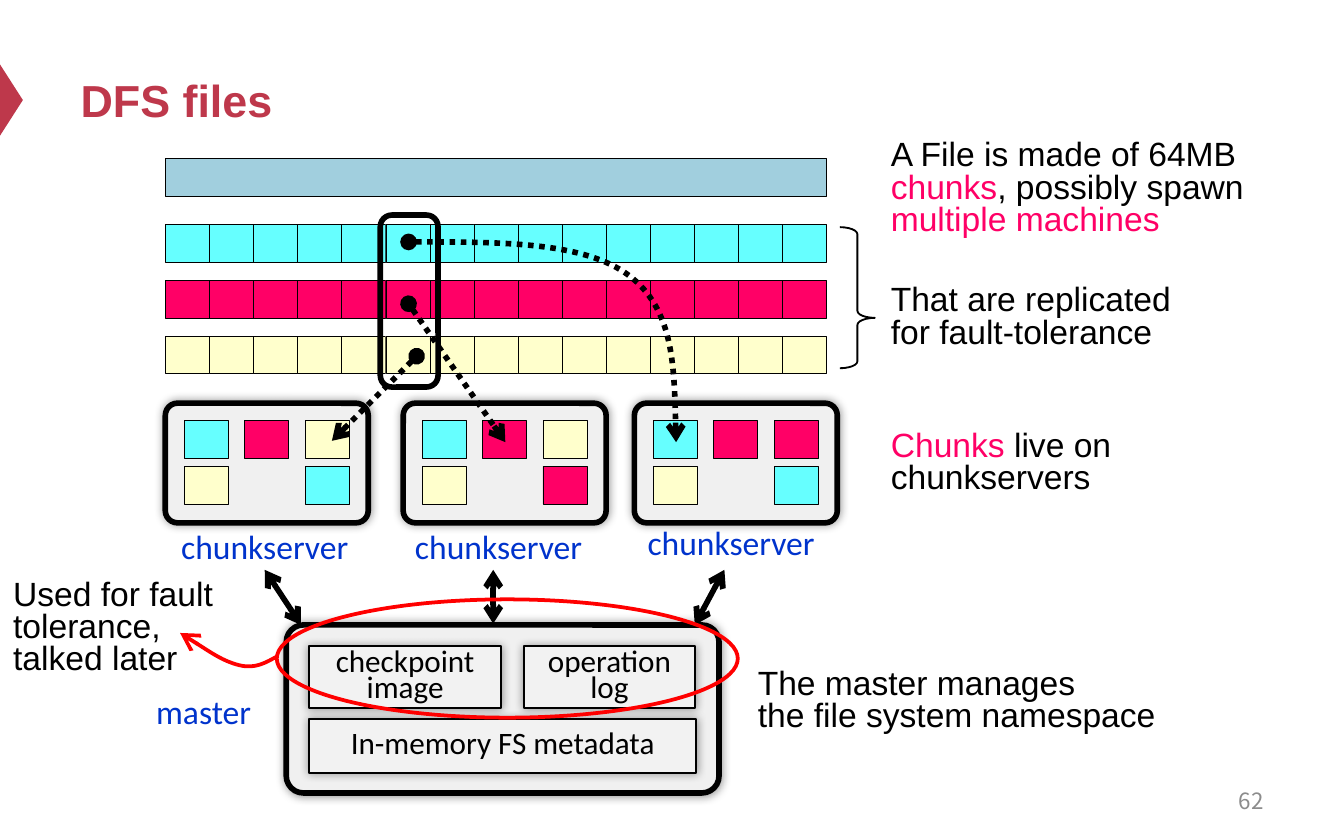
from dataclasses import dataclass
from typing import NamedTuple, Optional

from lxml import etree
from pptx import Presentation
from pptx.dml.color import RGBColor
from pptx.enum.dml import MSO_LINE
from pptx.enum.shapes import MSO_CONNECTOR, MSO_SHAPE
from pptx.enum.text import MSO_ANCHOR, PP_ALIGN
from pptx.oxml.ns import qn
from pptx.util import Inches, Pt

RECT, ROUNDED = MSO_SHAPE.RECTANGLE, MSO_SHAPE.ROUNDED_RECTANGLE
OVAL, BRACE = MSO_SHAPE.OVAL, MSO_SHAPE.RIGHT_BRACE
TRIANGLE = MSO_SHAPE.ISOSCELES_TRIANGLE
STRAIGHT, DOTTED = MSO_CONNECTOR.STRAIGHT, MSO_LINE.ROUND_DOT
LEFT, CENTER, RIGHT = PP_ALIGN.LEFT, PP_ALIGN.CENTER, PP_ALIGN.RIGHT
TOP, MIDDLE = MSO_ANCHOR.TOP, MSO_ANCHOR.MIDDLE


@dataclass(frozen=True)
class Theme:
    accent: str = "BE384B"
    ink: str = "000000"
    label: str = "0033CC"
    number: str = "8C8C8C"
    file: str = "A1CFDE"
    cyan: str = "66FFFF"
    pink: str = "FF0066"
    cream: str = "FFFFCC"
    server: str = "F0F0F0"
    panel: str = "F2F2F2"
    mark: str = "FF0000"
    title_size: float = 24
    body_size: float = 18
    panel_size: float = 16.7
    number_size: float = 12
    thin: float = 0.25
    fine: float = 1
    medium: float = 2
    thick: float = 3


class Box(NamedTuple):
    """Left, top, width and height in grid cells."""
    left: float
    top: float
    width: float
    height: float


class Span(NamedTuple):
    text: str
    color: str


class Note(NamedTuple):
    box: Box
    spans: tuple
    font: str = "Arial"
    align: int = LEFT
    spacing: float = 0.8


class Server(NamedTuple):
    left: float
    label_left: float
    label_top: float
    top_chunks: tuple
    bottom_chunks: tuple


T = Theme()
COLUMNS, ROWS = 100, 62.5
prs = Presentation()
prs.slide_width, prs.slide_height = Inches(10), Inches(6.25)
slide = prs.slides.add_slide(prs.slide_layouts[5])
canvas = slide.shapes


def x(columns: float) -> int:
    return round(prs.slide_width * columns / COLUMNS)


def y(rows: float) -> int:
    return round(prs.slide_height * rows / ROWS)


def emu(box: Box) -> tuple:
    return x(box.left), y(box.top), x(box.width), y(box.height)


def stroke(shape, color: str, width: float, head: str = "", tail: str = "",
           dotted: bool = False, tip: str = "med") -> None:
    shape.line.color.rgb = RGBColor.from_string(color)
    shape.line.width = Pt(width)
    if dotted:
        shape.line.dash_style = DOTTED
    outline = shape.element.spPr.find(qn("a:ln"))
    for tag, kind in (("a:headEnd", head), ("a:tailEnd", tail)):
        if kind:
            etree.SubElement(outline, qn(tag), type=kind, w=tip, len=tip)


def draw(parent, kind: int, box: Box, fill: Optional[str] = None, line: Optional[str] = T.ink,
         width: float = T.thin, adjust: tuple = (), glow: bool = False):
    shape = parent.add_shape(kind, *emu(box))
    for index, value in enumerate(adjust):
        shape.adjustments[index] = value
    if fill:
        shape.fill.solid()
        shape.fill.fore_color.rgb = RGBColor.from_string(fill)
    else:
        shape.fill.background()
    if line:
        stroke(shape, line, width)
    else:
        shape.line.fill.background()
    shape.shadow.inherit = False
    if glow:
        effects = shape.element.spPr.find(qn("a:effectLst"))
        shadow = etree.SubElement(effects, qn("a:outerShdw"), blurRad=str(Pt(5)), dist="0", dir="0")
        color = etree.SubElement(shadow, qn("a:srgbClr"), val=T.ink)
        etree.SubElement(color, qn("a:alpha"), val="40000")
    return shape


def write(frame, spans: tuple, size: float, font: str = "Arial", align: int = LEFT,
          spacing: float = 0.8, anchor: int = TOP, bold: bool = False) -> None:
    frame.vertical_anchor = anchor
    paragraph = frame.paragraphs[0]
    paragraph.alignment, paragraph.line_spacing = align, spacing
    for span in spans:
        for number, line in enumerate(span.text.split("\n")):
            if number:
                paragraph.add_line_break()
            run = paragraph.add_run()
            run.text = line
            run.font.name, run.font.size, run.font.bold = font, Pt(size), bold
            run.font.color.rgb = RGBColor.from_string(span.color)


def write_note(note: Note, size: float = T.body_size, anchor: int = TOP) -> None:
    frame = canvas.add_textbox(*emu(note.box)).text_frame
    frame.word_wrap = True
    write(frame, note.spans, size, note.font, note.align, note.spacing, anchor)


def arrow(start: tuple, end: tuple, head: str, dotted: bool = False) -> None:
    link = canvas.add_connector(STRAIGHT, x(start[0]), y(start[1]), x(end[0]), y(end[1]))
    stroke(link, T.ink, T.thick, head, "arrow", dotted)
    etree.SubElement(link.element.spPr, qn("a:effectLst"))


def curve(points: tuple, color: str, width: float, head: str = "",
          dotted: bool = False, tip: str = "med") -> None:
    """Draw Bézier segments: a start, then two controls and an end for each."""
    start, *rest = [(x(px), y(py)) for px, py in points]
    builder = canvas.build_freeform(*start)
    builder.add_line_segments(rest, close=False)
    shape = builder.convert_to_shape()
    shape.fill.background()
    shape.shadow.inherit = False
    stroke(shape, color, width, head, "arrow", dotted, tip)
    outline = next(shape.element.iter(qn("a:path")))
    steps = outline.findall(qn("a:lnTo"))
    for first in range(0, len(steps), 3):
        bezier = etree.SubElement(outline, qn("a:cubicBezTo"))
        for step in steps[first:first + 3]:
            bezier.append(step[0])
            outline.remove(step)


FILE = Box(12.3, 11.8, 49.2, 2.8)
CHUNKS = 15
CHUNK_W, CHUNK_H = FILE.width / CHUNKS, FILE.height
REPLICA_TOP, REPLICA_STEP = 16.7, 4.15
SERVER_TOP, SLOT_X, SLOT_Y, SLOT_STEP_X, SLOT_STEP_Y = 30, 1.4, 1.3, 4.5, 3.4
SERVERS = (
    Server(12.3, 11.1, 39.2, (T.cyan, T.pink, T.cream), (T.cream, None, T.cyan)),
    Server(30, 28.5, 39.2, (T.cyan, T.pink, T.cream), (T.cream, None, T.pink)),
    Server(47.2, 45.8, 38.9, (T.cyan, T.pink, T.pink), (T.cream, None, T.cyan)),
)
PANELS = (
    (Box(23, 48.1, 14.3, 4.6), "checkpoint\nimage", 0.7),
    (Box(39, 48.1, 12.7, 4.6), "operation\nlog", 0.7),
    (Box(23, 53.5, 28.8, 4), "In-memory FS metadata", 0.8),
)
NOTES = (
    Note(Box(65.3, 10, 31.9, 8.3), (
        Span("A File is made of 64MB ", T.ink), Span("chunks", T.pink),
        Span(", possibly spawn ", T.ink), Span("multiple machines", T.pink))),
    Note(Box(65.3, 20.8, 25.5, 5.9), (Span("That are replicated for fault-tolerance", T.ink),)),
    Note(Box(65.3, 31.6, 25.5, 5.9), (Span("Chunks", T.pink), Span(" live on chunkservers", T.ink))),
    Note(Box(55.4, 49.3, 33.8, 5.9), (Span("The master manages\nthe file system namespace", T.ink),)),
    Note(Box(9.7, 51.5, 10.9, 3.5), (Span("master", T.label),), "Calibri", CENTER),
    Note(Box(0, 42.7, 19.7, 8.3), (Span("Used for fault tolerance, talked later", T.ink),)),
)

title = canvas.title
title.left, title.top, title.width, title.height = emu(Box(5, 2.5, 90, 9.8))
write(title.text_frame, (Span("DFS files", T.accent),), T.title_size, spacing=1, anchor=MIDDLE, bold=True)
draw(canvas, TRIANGLE, Box(-1.8, 6.6, 5.3, 1.7), T.accent, None).rotation = 90
write_note(Note(Box(71.7, 57.9, 23.3, 3.3), (Span("62", T.number),), "Noto Sans CJK SC", RIGHT, 1),
           T.number_size, MIDDLE)

draw(canvas, RECT, FILE, T.file)
for row, color in enumerate((T.cyan, T.pink, T.cream)):
    replica = canvas.add_group_shape().shapes
    for column in range(CHUNKS):
        draw(replica, RECT, Box(FILE.left + column * CHUNK_W, REPLICA_TOP + row * REPLICA_STEP,
                                CHUNK_W, CHUNK_H), color)

master = canvas.add_group_shape().shapes
draw(master, ROUNDED, Box(21.3, 46.5, 32.2, 12.5), T.server, width=T.thick, adjust=(0.102,), glow=True)
for box, caption, spacing in PANELS:
    frame = draw(master, ROUNDED, box, T.panel, width=T.fine, adjust=(0,), glow=True).text_frame
    frame.margin_left = frame.margin_right = frame.margin_top = frame.margin_bottom = 0
    frame.word_wrap = False
    write(frame, (Span(caption, T.ink),), T.panel_size, "Calibri", CENTER, spacing, MIDDLE)

for server in SERVERS:
    rack = canvas.add_group_shape().shapes
    draw(rack, ROUNDED, Box(server.left, SERVER_TOP, 15.1, 8.9), T.server,
         width=T.thick, adjust=(0.102,), glow=True)
    for row, chunks in enumerate((server.top_chunks, server.bottom_chunks)):
        for column, color in enumerate(chunks):
            if color:
                draw(rack, RECT, Box(server.left + SLOT_X + column * SLOT_STEP_X,
                                     SERVER_TOP + SLOT_Y + row * SLOT_STEP_Y, CHUNK_W, CHUNK_H), color)
    write_note(Note(Box(server.label_left, server.label_top, 17.2, 3.5),
                    (Span("chunkserver", T.label),), "Calibri", CENTER))

for start, end in (((31, 26.5), (24.7, 32.8)), ((30.4, 22.6), (37.6, 32.9))):
    arrow(start, end, "oval", dotted=True)
curve(((30.4, 18), (37, 18), (43.5, 18), (46.8, 20.5), (50.1, 23), (50.2, 28), (50.3, 32.9)),
      T.ink, T.thick, "oval", dotted=True)
draw(canvas, ROUNDED, Box(28.3, 16, 4.3, 12.8), width=T.thick, adjust=(0.2,))
for start, end in (((19.7, 42.4), (22.4, 46.5)), ((53.9, 42.4), (51.7, 46.5)), ((36.7, 42.4), (36.7, 46.4))):
    arrow(start, end, "arrow")

draw(canvas, BRACE, Box(62.5, 16.9, 2.6, 10.5), width=T.fine, adjust=(0.202, 0.643))
for note in NOTES:
    write_note(note)
draw(canvas, OVAL, Box(20.6, 44.6, 34.3, 8.8), line=T.mark, width=T.medium)
curve(((20.7, 48.8), (19.8, 49.3), (19, 49.8), (17.8, 49.5), (16.6, 49.2), (15, 48.1), (13.4, 47.1)),
      T.mark, T.medium, tip="lg")

prs.save("out.pptx")
